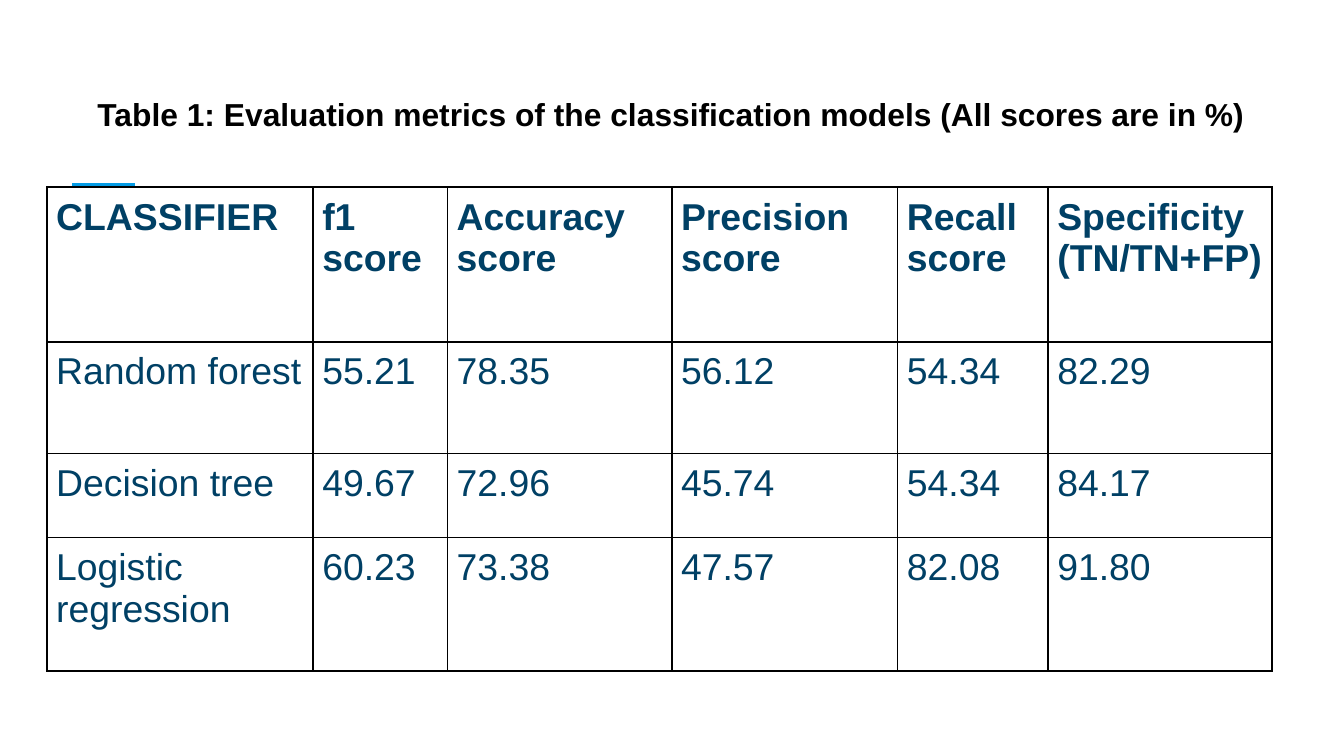
from lxml import etree
from pptx import Presentation
from pptx.dml.color import RGBColor
from pptx.enum import shapes, text
from pptx.oxml import ns
from pptx.util import Pt

BLACK = RGBColor(0x00, 0x00, 0x00)
NAVY = RGBColor(0x00, 0x40, 0x65)
BLUE = RGBColor(0x03, 0x9B, 0xE5)
FONT = "Arial"

METRICS = [
    ["CLASSIFIER", "f1 score", "Accuracy score", "Precision score",
     "Recall score", "Specificity (TN/TN+FP)"],
    ["Random forest", "55.21", "78.35", "56.12", "54.34", "82.29"],
    ["Decision tree", "49.67", "72.96", "45.74", "54.34", "84.17"],
    ["Logistic regression", "60.23", "73.38", "47.57", "82.08", "91.80"],
]
COLUMN_WIDTHS = [142.6, 72, 120.2, 121, 80.6, 120]
ROW_HEIGHTS = [82.9, 59.8, 45.2, 71.4]


def style_font(font, size, color, bold):
    font.name, font.size, font.bold = FONT, Pt(size), bold
    font.color.rgb = color


def set_insets(target, inset):
    target.margin_left = target.margin_right = Pt(inset)
    target.margin_top = target.margin_bottom = Pt(inset)


def add_accent(slide, left, top, width):
    accent = slide.shapes.add_connector(
        shapes.MSO_CONNECTOR.STRAIGHT,
        Pt(left), Pt(top), Pt(left + width), Pt(top))
    accent.line.color.rgb = BLUE
    accent.line.width = Pt(3)
    etree.SubElement(accent._element.spPr, ns.qn("a:effectLst"))


def add_caption(slide, left, top, width, height):
    caption = slide.shapes.add_textbox(Pt(left), Pt(top), Pt(width), Pt(height))
    frame = caption.text_frame
    frame.word_wrap = True
    frame.vertical_anchor = text.MSO_ANCHOR.MIDDLE
    set_insets(frame, 7.2)
    frame.text = ("Table 1: Evaluation metrics of the classification models "
                  "(All scores are in %)")
    paragraph = frame.paragraphs[0]
    paragraph.line_spacing = 1.5
    paragraph.space_after = Pt(10)
    style_font(paragraph.runs[0].font, 17, BLACK, True)


def add_borders(cell, width):
    """Border lines must come before the fill in the cell properties."""
    properties = cell._tc.get_or_add_tcPr()
    for position, side in enumerate(("lnL", "lnR", "lnT", "lnB")):
        border = etree.Element(ns.qn(f"a:{side}"), w=str(Pt(width)))
        fill = etree.SubElement(border, ns.qn("a:solidFill"))
        etree.SubElement(fill, ns.qn("a:srgbClr"), val=str(BLACK))
        properties.insert(position, border)


def add_metrics_table(slide, left, top):
    table = slide.shapes.add_table(
        len(METRICS), len(COLUMN_WIDTHS), Pt(left), Pt(top),
        Pt(sum(COLUMN_WIDTHS)), Pt(sum(ROW_HEIGHTS))).table
    table.first_row = table.horz_banding = False
    for column, width in zip(table.columns, COLUMN_WIDTHS):
        column.width = Pt(width)
    for index, (row, height, values) in enumerate(
            zip(table.rows, ROW_HEIGHTS, METRICS)):
        row.height = Pt(height)
        for cell, value in zip(row.cells, values):
            set_insets(cell, 5)
            cell.fill.background()
            add_borders(cell, 1)
            cell.text_frame.text = value
            style_font(cell.text_frame.paragraphs[0].runs[0].font,
                       20, NAVY, index == 0)


def main():
    presentation = Presentation()
    presentation.slide_width, presentation.slide_height = Pt(720), Pt(405)
    slide = presentation.slides.add_slide(presentation.slide_layouts[6])
    add_accent(slide, 38.8, 99.4, 33.4)
    add_metrics_table(slide, 25.1, 100.2)
    add_caption(slide, 45.1, 19.4, 630, 73.4)
    presentation.save("out.pptx")


if __name__ == "__main__":
    main()
